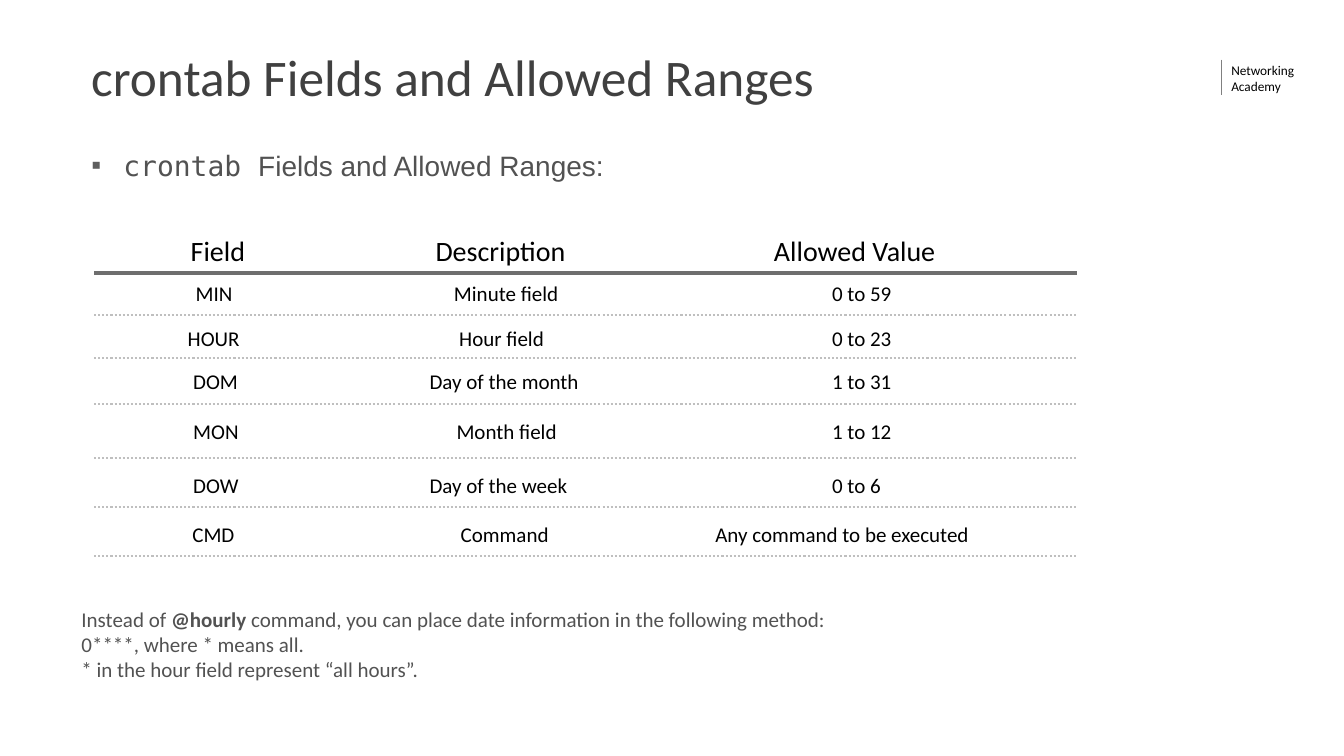
from lxml.etree import SubElement
from pptx import Presentation
from pptx.dml.color import RGBColor
from pptx.enum.dml import MSO_LINE
from pptx.enum.shapes import MSO_CONNECTOR
from pptx.enum.text import MSO_ANCHOR, MSO_AUTO_SIZE
from pptx.oxml.ns import qn
from pptx.util import Pt

COLORS = {
    "title": "404040", "body": "525252", "bullet": "5E5E5E", "cell": "000000",
    "header_rule": "6E6E6E", "row_rule": "BFBFBF", "brand_rule": "808080",
}
STYLES = {
    "brand": {"name": "Calibri", "size": Pt(11.4), "color": "cell"},
    "title": {"name": "Calibri", "size": Pt(44), "color": "title"},
    "code": {"name": "DejaVu Sans Mono", "size": Pt(24), "color": "body"},
    "body": {"name": "Arial", "size": Pt(24), "color": "body"},
    "note": {"name": "Calibri", "size": Pt(18), "color": "body"},
    "strong": {"name": "Calibri", "size": Pt(18), "color": "body", "bold": True},
    "header": {"name": "Calibri", "size": Pt(24), "color": "cell"},
    "cell": {"name": "Calibri", "size": Pt(18), "color": "cell"},
}
RULES = {
    "brand_rule": {"width": Pt(1)},
    "header_rule": {"width": Pt(3)},
    "row_rule": {"width": Pt(1.75), "dash_style": MSO_LINE.ROUND_DOT},
}
NO_TABLE_STYLE = "{2D5ABB26-0587-4C30-8999-92F81FD0307C}"

COLUMN_WIDTHS = (220, 290, 332.4)
# Row height, space above the text, then text and left indent of each cell
FIELD_ROWS = [
    (37.44, 4.4, ("Field", 82.8), ("Description", 72.7), ("Allowed Value", 72.8)),
    (36, 7.2, ("MIN", 87.12), ("Minute field", 88.5), ("0 to 59", 122.6)),
    (36.72, 10.1, ("HOUR", 80.3), ("Hour field", 93), ("0 to 23", 122.6)),
    (39.6, 10.1, ("DOM", 84.96), ("Day of the month", 67.6), ("1 to 31", 122.6)),
    (46.08, 13, ("MON", 84.96), ("Month field", 90.7), ("1 to 12", 122.6)),
    (42.48, 13.6, ("DOW", 84.96), ("Day of the week", 67.6), ("0 to 6", 122.6)),
    (41.76, 13, ("CMD", 84.24), ("Command", 94.3),
     ("Any command to be executed", 22.5)),
]


def set_attributes(target, values):
    for name, value in values.items():
        setattr(target, name, value)


def add_spans(para, spans):
    for text, style in spans:
        span = para.add_run()
        span.text = text
        values = dict(STYLES[style])
        span.font.color.rgb = RGBColor.from_string(COLORS[values.pop("color")])
        set_attributes(span.font, values)


def add_text(page, box, paragraphs, **frame_values):
    shape = page.shapes.add_textbox(*(Pt(length) for length in box))
    frame = shape.text_frame
    set_attributes(frame, {"word_wrap": True, **frame_values})
    for index, spans in enumerate(paragraphs):
        para = frame.add_paragraph() if index else frame.paragraphs[0]
        add_spans(para, spans)
    return frame


def add_rule(page, style, *ends):
    rule = page.shapes.add_connector(
        MSO_CONNECTOR.STRAIGHT, *(Pt(length) for length in ends))
    rule.line.color.rgb = RGBColor.from_string(COLORS[style])
    set_attributes(rule.line, RULES[style])
    SubElement(rule.element.spPr, qn("a:effectLst"))


def add_brand(page, box):
    left, top, width, height = box
    add_rule(page, "brand_rule", left, top + 1.44, left, top + 31.68)
    add_text(page, (left + 1.44, top, width, height),
             [[("Networking", "brand")], [("Academy", "brand")]],
             word_wrap=False, auto_size=MSO_AUTO_SIZE.SHAPE_TO_FIT_TEXT)


def add_title(page, box):
    frame = add_text(page, box, [[("crontab Fields and Allowed Ranges", "title")]],
                     vertical_anchor=MSO_ANCHOR.MIDDLE)
    frame.paragraphs[0].line_spacing = 0.9


def add_body(page, box):
    frame = add_text(page, box, [[("crontab ", "code"),
                                  ("Fields and Allowed Ranges:", "body")]])
    para = frame.paragraphs[0]
    properties = para._p.get_or_add_pPr()
    properties.set("marL", str(Pt(27.36)))
    properties.set("indent", str(-Pt(27.36)))
    bullet_color = SubElement(properties, qn("a:buClr"))
    SubElement(bullet_color, qn("a:srgbClr"), val=COLORS["bullet"])
    SubElement(properties, qn("a:buFont"), typeface="Arial")
    SubElement(properties, qn("a:buChar"), char="▪")
    para.line_spacing = 1.14


def add_field_table(page, left, top):
    width = sum(COLUMN_WIDTHS)
    height = sum(row[0] for row in FIELD_ROWS)
    table = page.shapes.add_table(
        len(FIELD_ROWS), len(COLUMN_WIDTHS),
        Pt(left), Pt(top), Pt(width), Pt(height)).table
    table._tbl.tblPr.find(qn("a:tableStyleId")).text = NO_TABLE_STYLE
    set_attributes(table, {"first_row": False, "horz_banding": False})
    for column, column_width in zip(table.columns, COLUMN_WIDTHS):
        column.width = Pt(column_width)
    bottom = top
    for index, (row_height, space_above, *entries) in enumerate(FIELD_ROWS):
        table.rows[index].height = Pt(row_height)
        style = "cell" if index else "header"
        for cell, (text, indent) in zip(table.rows[index].cells, entries):
            set_attributes(cell, {
                "margin_left": Pt(indent), "margin_top": Pt(space_above),
                "margin_right": 0, "margin_bottom": 0,
                "vertical_anchor": MSO_ANCHOR.TOP})
            cell.fill.background()
            add_spans(cell.text_frame.paragraphs[0], [(text, style)])
        # Rule under the row
        bottom += row_height
        add_rule(page, "row_rule" if index else "header_rule",
                 left, bottom, left + width, bottom)


def add_note(page, box):
    add_text(page, box, [
        [("Instead of ", "note"), ("@hourly ", "strong"),
         ("command, you can place date information in the following method:", "note")],
        [("0****, where * means all.", "note")],
        [("* in the hour field represent “all hours”.", "note")],
    ], vertical_anchor=MSO_ANCHOR.MIDDLE, auto_size=MSO_AUTO_SIZE.SHAPE_TO_FIT_TEXT,
        margin_left=0, margin_top=0, margin_right=0, margin_bottom=0)


def main():
    deck = Presentation()
    set_attributes(deck, {"slide_width": Pt(1152), "slide_height": Pt(648)})
    page = deck.slides.add_slide(deck.slide_layouts[6])
    # Corner label, heading and bullet
    add_brand(page, (1046.88, 49.68, 77.04, 34.56))
    add_title(page, (71.1, 42, 866.16, 53.28))
    add_body(page, (71.28, 119.52, 1001.52, 478.8))
    # Table of fields and the note below it
    add_field_table(page, 80.64, 196.56)
    add_note(page, (69.84, 519.12, 767.52, 65.52))
    deck.save("out.pptx")


if __name__ == "__main__":
    main()
